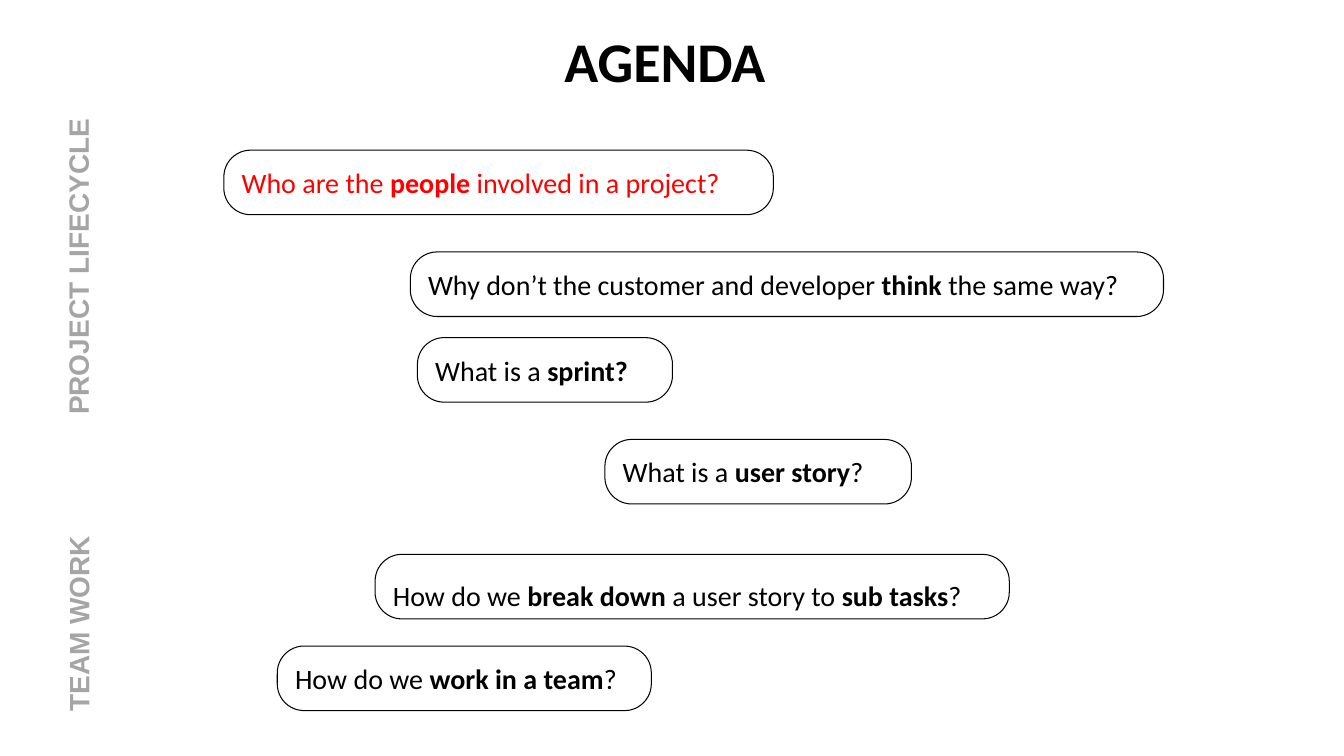
from pptx import Presentation
from pptx.dml.color import RGBColor
from pptx.enum.shapes import MSO_SHAPE
from pptx.enum.text import MSO_ANCHOR, PP_ALIGN
from pptx.util import Inches, Pt

ROUNDED = MSO_SHAPE.ROUNDED_RECTANGLE
MIDDLE = MSO_ANCHOR.MIDDLE
LEFT = PP_ALIGN.LEFT

BLACK = RGBColor(0x00, 0x00, 0x00)
WHITE = RGBColor(0xFF, 0xFF, 0xFF)
RED = RGBColor(0xFF, 0x00, 0x00)
GREY = RGBColor(0xA5, 0xA5, 0xA5)

QUESTION_HEIGHT = 0.64


def add_runs(paragraph, text, font_format):
    """Write text into the paragraph, with the parts between asterisks in bold."""
    paragraph.alignment = LEFT
    for index, part in enumerate(text.split("*")):
        if not part:
            continue
        run = paragraph.add_run()
        run.text = part
        run.font.bold = index % 2 == 1
        run.font.color.rgb = font_format["color"]
        for name in ("name", "size"):
            setattr(run.font, name, font_format[name])


presentation = Presentation()
presentation.slide_width = Inches(13.33)
presentation.slide_height = Inches(7.5)
slide = presentation.slides.add_slide(presentation.slide_layouts[6])

# Title and the two rotated section labels
title_format = {"name": "Calibri", "size": Pt(40), "color": BLACK}
section_format = {"name": "Arial", "size": Pt(20), "color": GREY}
headings = [
    ("*AGENDA*", 5.5, 0.21, 2.39, 0.77, 0, title_format),
    ("*PROJECT LIFECYCLE*", -0.85, 2.37, 3.25, 0.44, 270, section_format),
    ("*TEAM WORK*", -0.24, 5.92, 2.04, 0.44, 270, section_format),
]
for text, left, top, width, height, rotation, font_format in headings:
    box = slide.shapes.add_textbox(
        Inches(left), Inches(top), Inches(width), Inches(height))
    box.rotation = rotation
    box.text_frame.word_wrap = True
    add_runs(box.text_frame.paragraphs[0], text, font_format)

# Agenda questions: text, left, top, width, colour, line spacing
questions = [
    ("Who are the *people* involved in a project?", 2.22, 1.49, 5.45, RED, 1.0),
    ("Why don’t the customer and developer* think *the same way?",
     4.07, 2.5, 7.47, BLACK, 1.0),
    ("What is a *sprint?*", 4.14, 3.35, 2.53, BLACK, 1.0),
    ("What is a *user story*?", 6, 4.36, 3.04, BLACK, 1.0),
    ("How do we *break down *a user story to *sub tasks*?",
     3.72, 5.5, 6.29, BLACK, 1.5),
    ("How do we *work in a team*?", 2.75, 6.41, 3.71, BLACK, 1.0),
]
for text, left, top, width, color, line_spacing in questions:
    shape = slide.shapes.add_shape(
        ROUNDED, Inches(left), Inches(top), Inches(width), Inches(QUESTION_HEIGHT))
    shape.adjustments[0] = 0.415
    shape.shadow.inherit = False
    shape.fill.solid()
    shape.fill.fore_color.rgb = WHITE
    shape.line.color.rgb = BLACK
    shape.line.width = Pt(0.75)
    shape.text_frame.word_wrap = True
    shape.text_frame.vertical_anchor = MIDDLE
    paragraph = shape.text_frame.paragraphs[0]
    paragraph.line_spacing = line_spacing
    add_runs(paragraph, text, {"name": "Calibri", "size": Pt(20), "color": color})

presentation.save("out.pptx")
